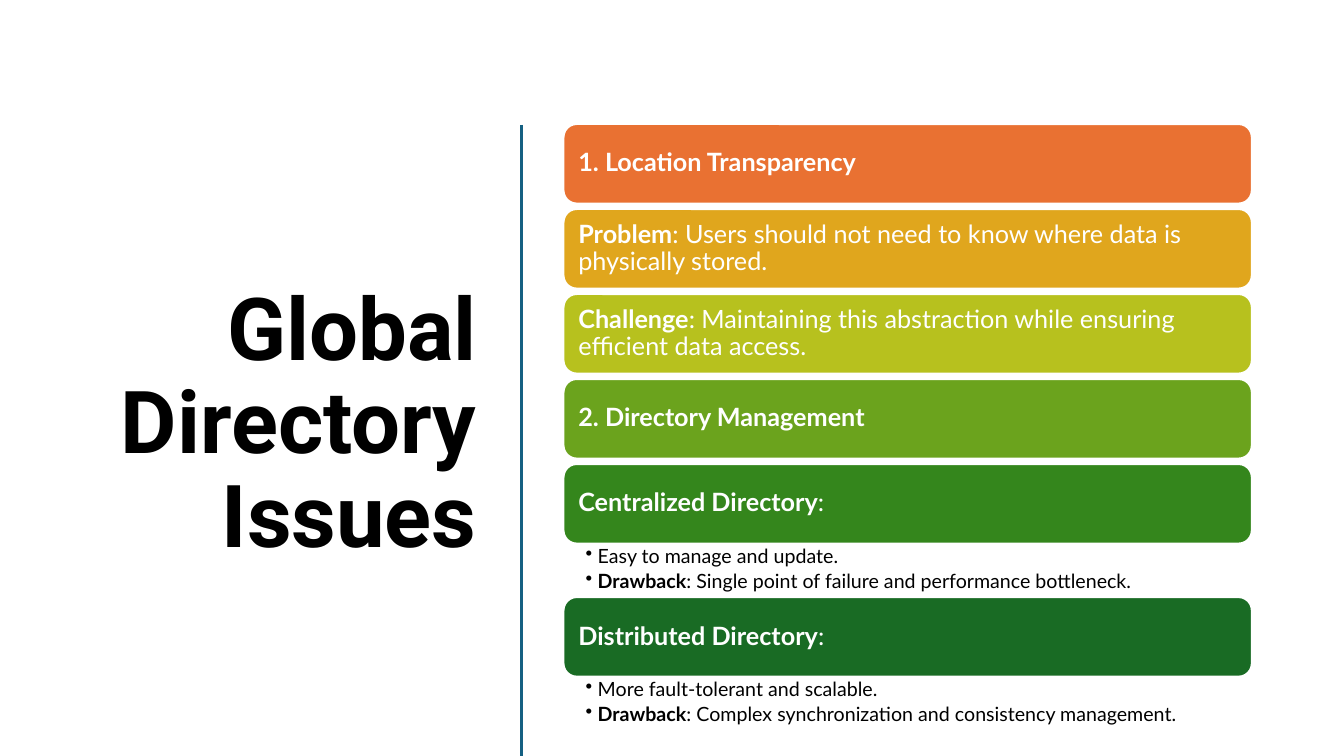
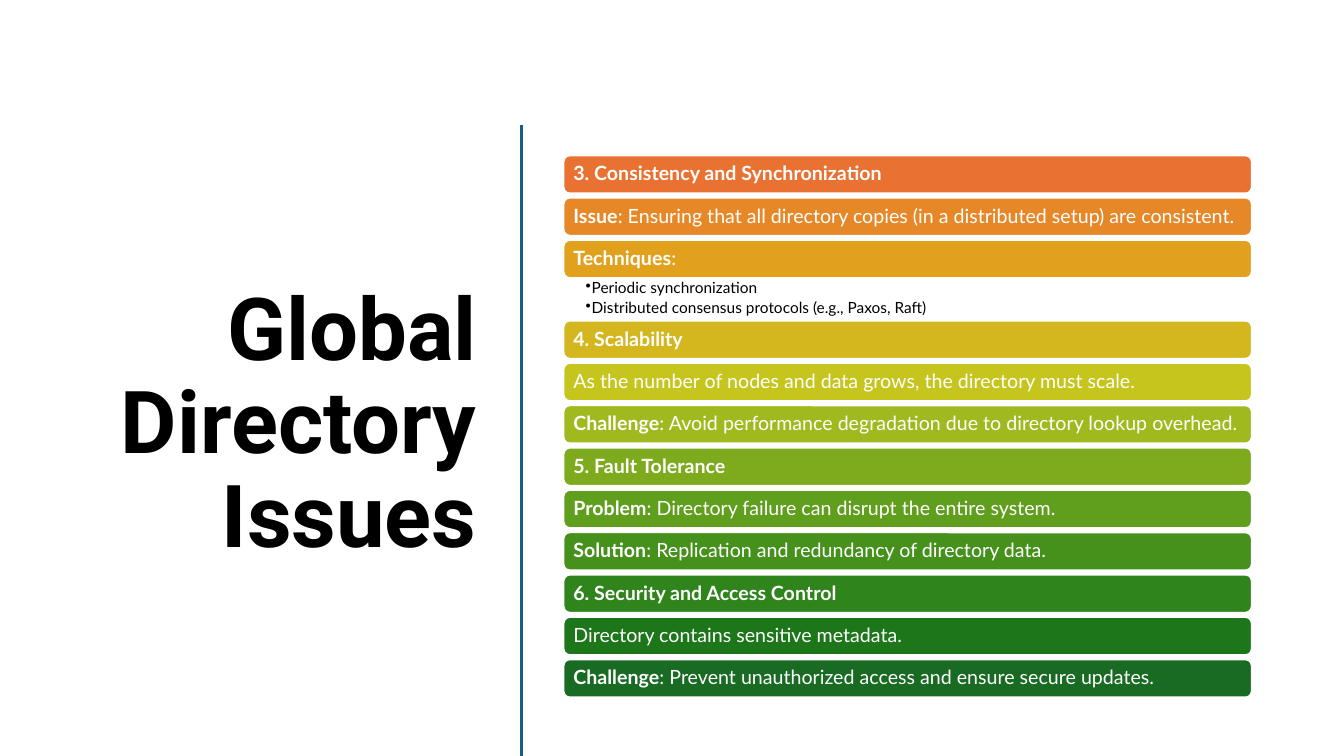
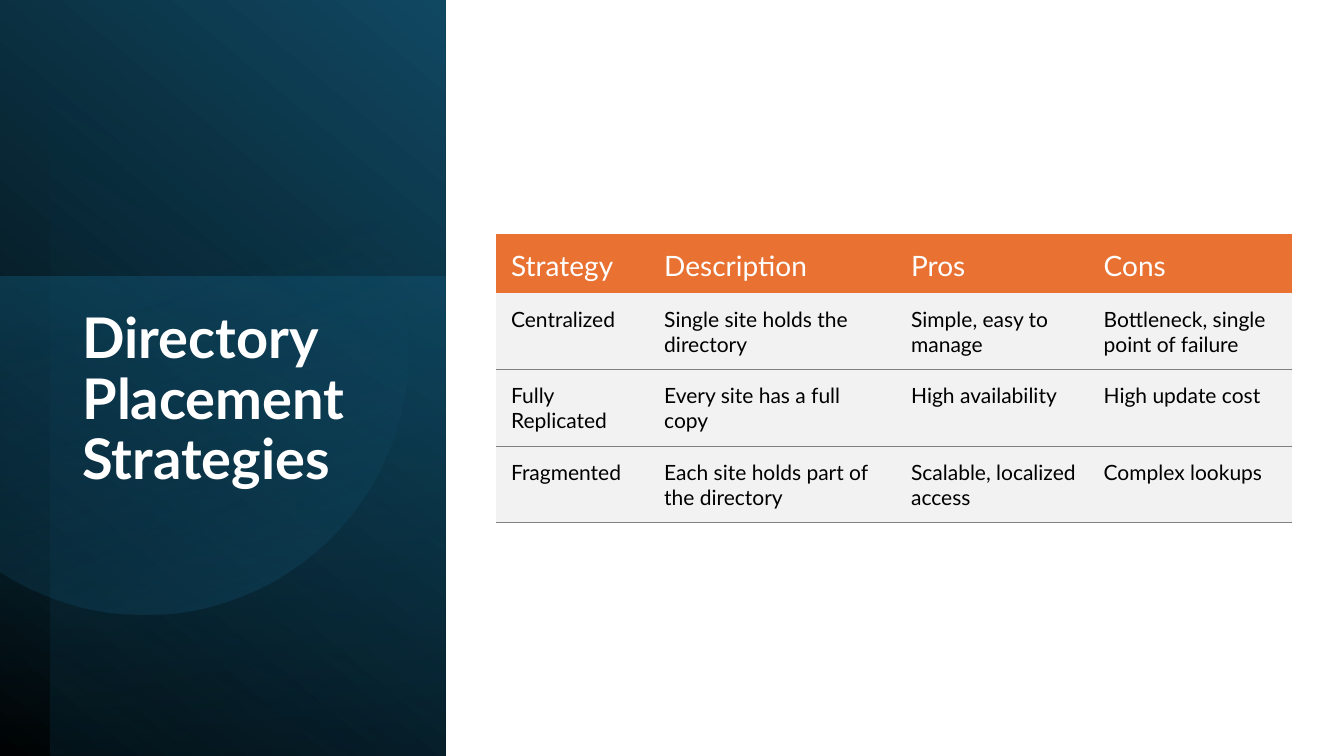
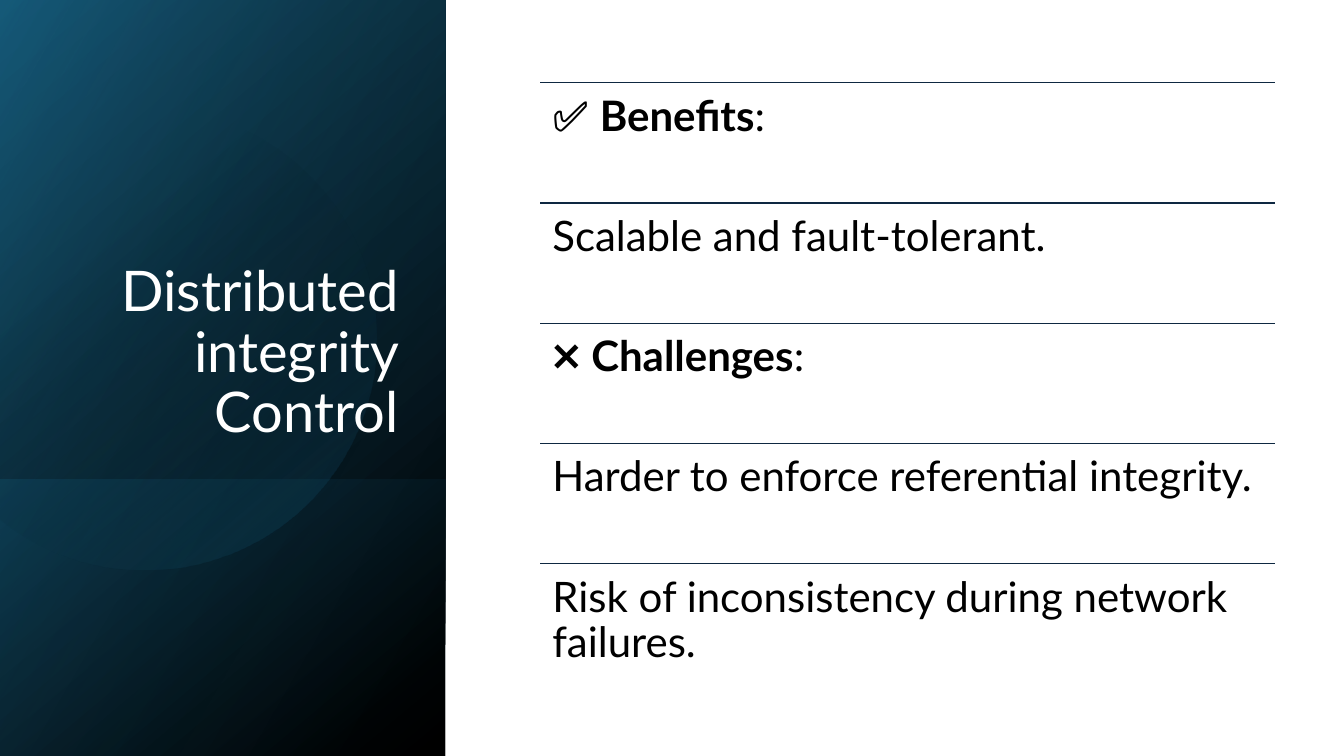
import math

from lxml import etree
from pptx import Presentation
from pptx.dml.color import RGBColor
from pptx.enum.shapes import MSO_CONNECTOR, MSO_SHAPE
from pptx.enum.text import MSO_ANCHOR, PP_ALIGN
from pptx.oxml.ns import qn
from pptx.util import Inches, Pt

LEFT, RIGHT = PP_ALIGN.LEFT, PP_ALIGN.RIGHT
TOP, MIDDLE, BOTTOM = MSO_ANCHOR.TOP, MSO_ANCHOR.MIDDLE, MSO_ANCHOR.BOTTOM
RECT, ROUND = MSO_SHAPE.RECTANGLE, MSO_SHAPE.ROUNDED_RECTANGLE
STRAIGHT = MSO_CONNECTOR.STRAIGHT

BLACK = RGBColor(0x00, 0x00, 0x00)
WHITE = RGBColor(0xFF, 0xFF, 0xFF)
ORANGE = RGBColor(0xE9, 0x71, 0x32)
GREEN = RGBColor(0x19, 0x6B, 0x24)
BLUE = RGBColor(0x15, 0x60, 0x82)
DEEP_BLUE = RGBColor(0x10, 0x48, 0x62)
SKY = RGBColor(0x46, 0xB1, 0xE1)
NAVY = RGBColor(0x0E, 0x28, 0x41)
GREY = RGBColor(0x80, 0x80, 0x80)
PALE = RGBColor(0xF2, 0xF2, 0xF2)
SIX_STEPS = [ORANGE, *map(RGBColor.from_string, (
    "E0A61D", "B7C11E", "6BA31D", "34861C")), GREEN]
TWELVE_STEPS = [ORANGE, *map(RGBColor.from_string, (
    "E68828", "E2A11D", "D4B61E", "C6C51E", "A0B91E", "7EAB1E",
    "609E1D", "46911C", "2F841C", "1D771A")), GREEN]

COLS, ROWS = 80, 45  # grid of square cells
PANEL_W = 26.52
NO_TABLE_STYLE = "{2D5ABB26-0587-4C30-8999-92F81FD0307C}"


def cells(n):
    return Inches(n / 6)


class Deck:
    body_font, heading_font = "Lato", "Roboto"

    def __init__(self):
        self.prs = Presentation()
        self.prs.slide_width, self.prs.slide_height = cells(COLS), cells(ROWS)

    def new_slide(self):
        self.shapes = self.prs.slides.add_slide(self.prs.slide_layouts[6]).shapes

    def set_text(self, tf, paras, size, color, align=LEFT, anchor=TOP,
                 inset=(0.1, 0.05, 0.1, 0.05), font=body_font, spacing=0.9,
                 indent=None):
        """Fill a text frame; words between asterisks are bold."""
        tf.word_wrap = True
        tf.vertical_anchor = anchor
        tf.margin_left, tf.margin_top, tf.margin_right, tf.margin_bottom = map(Inches, inset)
        for i, para in enumerate(paras):
            p = tf.add_paragraph() if i else tf.paragraphs[0]
            p.alignment, p.line_spacing = align, spacing
            if indent:
                p.space_after = Pt(round(size * 0.2, 1))
                pPr = p._p.get_or_add_pPr()
                pPr.set("marL", str(Inches(indent)))
                pPr.set("indent", str(-Inches(indent)))
                etree.SubElement(pPr, qn("a:buChar"), char="•")
            for k, part in enumerate(para.split("*")):
                if part:
                    r = p.add_run()
                    r.text = part
                    r.font.name, r.font.size = font, Pt(size)
                    r.font.bold, r.font.color.rgb = k % 2 == 1, color

    def text(self, box, paras, size, color, **style):
        s = self.shapes.add_textbox(*map(cells, box))
        self.set_text(s.text_frame, paras, size, color, **style)

    def line(self, x1, y1, x2, y2, color, width):
        c = self.shapes.add_connector(STRAIGHT, *map(cells, (x1, y1, x2, y2)))
        c.line.color.rgb, c.line.width = color, Pt(width)
        etree.SubElement(c._element.spPr, qn("a:effectLst"))

    def shade(self, s, start, end, angle):
        """Blend two (position, colour, opacity) stops, angle counterclockwise."""
        s.shadow.inherit = False
        s.line.fill.background()
        s.fill.gradient()
        s.fill.gradient_angle = angle
        for stop, (position, color, _) in zip(s.fill.gradient_stops, (start, end)):
            stop.position, stop.color.rgb = position, color
        for clr, (_, _, opacity) in zip(s._element.spPr.iter(qn("a:srgbClr")), (start, end)):
            etree.SubElement(clr, qn("a:alpha"), val=str(round(opacity * 100000)))

    def panel(self, box, start, end, angle):
        self.shade(self.shapes.add_shape(RECT, *map(cells, box)), start, end, angle)

    def disc(self, cx, cy, radius, start, end, angle, steps=90):
        """Circle cut off by the left edge of the slide."""
        reach = math.acos(-cx / radius)
        turns = [reach * (2 * i / steps - 1) for i in range(steps + 1)]
        points = [(cells(cx + radius * math.cos(t)), cells(cy + radius * math.sin(t)))
                  for t in turns]
        builder = self.shapes.build_freeform(*points[0])
        builder.add_line_segments(points[1:], close=True)
        self.shade(builder.convert_to_shape(), start, end, angle)

    def bar_list(self, top, height, gap, size, inset, colors, items,
                 note_height, note_size, note_inset, indent):
        """Stack bars; an item is a label, or a label with its bullet notes."""
        x, width = 33.54, 40.98
        self.text((3.12, 7.02, 25.86, 36.66), ["*Global Directory Issues*"], 62, BLACK,
                  align=RIGHT, anchor=MIDDLE, font=self.heading_font)
        self.line(31.02, 7.44, 31.02, ROWS, BLUE, 2)
        for color, (label, *notes) in zip(colors, items):
            s = self.shapes.add_shape(ROUND, *map(cells, (x, top, width, height)))
            s.shadow.inherit = False
            s.fill.solid()
            s.fill.fore_color.rgb = color
            s.line.color.rgb, s.line.width = WHITE, Pt(1.5)
            self.set_text(s.text_frame, [label], size, WHITE, anchor=MIDDLE,
                          inset=(inset,) * 4)
            top += height
            if notes:
                self.text((x, top, width, note_height), notes, note_size, BLACK,
                          inset=note_inset, indent=indent)
            top += note_height if notes else gap

    def table(self, x, y, widths, heights, rows):
        frame = self.shapes.add_table(len(rows), len(widths), *map(
            cells, (x, y, sum(widths), sum(heights))))
        table = frame.table
        table._tbl.tblPr.find(qn("a:tableStyleId")).text = NO_TABLE_STYLE
        for column, width in zip(table.columns, widths):
            column.width = cells(width)
        for i, (row, height, words) in enumerate(zip(table.rows, heights, rows)):
            row.height = cells(height)
            for cell, word in zip(row.cells, words):
                self.set_text(cell.text_frame, [word], 15 if i else 20,
                              BLACK if i else WHITE, spacing=1.0)
                cell.vertical_anchor = TOP if i else MIDDLE
                cell.margin_left, cell.margin_top = Inches(0.15), Inches(0.13)
                cell.margin_right, cell.margin_bottom = Inches(0.1), Inches(0.09)
                if i:
                    self.underline(cell)
                cell.fill.solid()
                cell.fill.fore_color.rgb = PALE if i else ORANGE

    def underline(self, cell):
        ln = etree.SubElement(cell._tc.get_or_add_tcPr(), qn("a:lnB"), w=str(Pt(0.75)))
        fill = etree.SubElement(ln, qn("a:solidFill"))
        etree.SubElement(fill, qn("a:srgbClr"), val=str(GREY))

    def ruled_list(self, x, top, width, pitch, items):
        for i, item in enumerate(items):
            y = top + i * pitch
            self.line(x, y, x + width, y, NAVY, 1)
            self.text((x, y, width, pitch), [item], 30, BLACK, inset=(0.12,) * 4)


def main():
    deck = Deck()

    deck.new_slide()
    deck.bar_list(7.38, 4.74, 0.32, 18, 0.11, SIX_STEPS, [
        ("*1. Location Transparency*",),
        ("*Problem*: Users should not need to know where data is physically stored.",),
        ("*Challenge*: Maintaining this abstraction while ensuring efficient data access.",),
        ("*2. Directory Management*",),
        ("*Centralized Directory*:", "Easy to manage and update.",
         "*Drawback*: Single point of failure and performance bottleneck."),
        ("*Distributed Directory*:", "More fault-tolerant and scalable.",
         "*Drawback*: Complex synchronization and consistency management."),
    ], 3.18, 14, (0.22, 0.03, 0.14, 0.03), 0.12)

    deck.new_slide()
    deck.bar_list(9.24, 2.28, 0.24, 14, 0.08, TWELVE_STEPS, [
        ("*3. Consistency and Synchronization*",),
        ("*Issue*: Ensuring that all directory copies (in a distributed setup) are consistent.",),
        ("*Techniques*:", "Periodic synchronization",
         "Distributed consensus protocols (e.g., Paxos, Raft)"),
        ("*4. Scalability*",),
        ("As the number of nodes and data grows, the directory must scale.",),
        ("*Challenge*: Avoid performance degradation due to directory lookup overhead.",),
        ("*5. Fault Tolerance*",),
        ("*Problem*: Directory failure can disrupt the entire system.",),
        ("*Solution*: Replication and redundancy of directory data.",),
        ("*6. Security and Access Control*",),
        ("Directory contains sensitive metadata.",),
        ("*Challenge*: Prevent unauthorized access and ensure secure updates.",),
    ], 2.52, 11, (0.22, 0.02, 0.11, 0.02), 0.06)

    deck.new_slide()
    deck.panel((0, 0, PANEL_W, ROWS), (0, BLACK, 1), (1, DEEP_BLUE, 1), 50)
    deck.panel((0, 16.44, PANEL_W, 28.56), (0, BLUE, 0), (1, BLUE, 0.4), 95)
    deck.panel((3, 0, PANEL_W - 3, ROWS), (0, BLUE, 0.15), (0.69, BLUE, 0), 60)
    deck.disc(8.64, 20.9, 15.7, (0.39, DEEP_BLUE, 0), (1, DEEP_BLUE, 0.5), 290)
    deck.text((4.32, 18.18, 18.9, 20.16), ["*Directory Placement Strategies*"], 40, WHITE)
    deck.table(29.52, 13.92, (9.12, 14.7, 11.46, 12.12), (3.54, 4.56, 4.56, 4.5), [
        ("Strategy", "Description", "Pros", "Cons"),
        ("Centralized", "Single site holds the directory", "Simple, easy to manage",
         "Bottleneck, single point of failure"),
        ("Fully Replicated", "Every site has a full copy", "High availability",
         "High update cost"),
        ("Fragmented", "Each site holds part of the directory",
         "Scalable, localized access", "Complex lookups"),
    ])

    deck.new_slide()
    deck.panel((0, 0, PANEL_W, ROWS), (0.08, BLACK, 1), (1, DEEP_BLUE, 1), 130)
    deck.panel((0, 0, PANEL_W, ROWS), (0.3, BLACK, 0), (1, BLUE, 0.46), 150)
    deck.panel((0, 28.56, PANEL_W, 16.44), (0, BLUE, 0.29), (1, BLACK, 0.3), 310)
    deck.disc(8.64, 20.15, 13.75, (0.29, BLACK, 0), (1, BLUE, 0.35), 310)
    deck.panel((0, 0, PANEL_W, ROWS), (0, SKY, 0), (1, SKY, 0.08), 150)
    deck.text((3.84, 11.04, 20.46, 15.72), ["Distributed integrity Control"], 40, WHITE,
              align=RIGHT, anchor=BOTTOM)
    deck.ruled_list(32.16, 4.92, 43.76, 7.16, [
        "✅ *Benefits*:",
        "Scalable and fault-tolerant.",
        "❌ *Challenges*:",
        "Harder to enforce referential integrity.",
        "Risk of inconsistency during network failures.",
    ])

    deck.prs.save("out.pptx")


if __name__ == "__main__":
    main()
